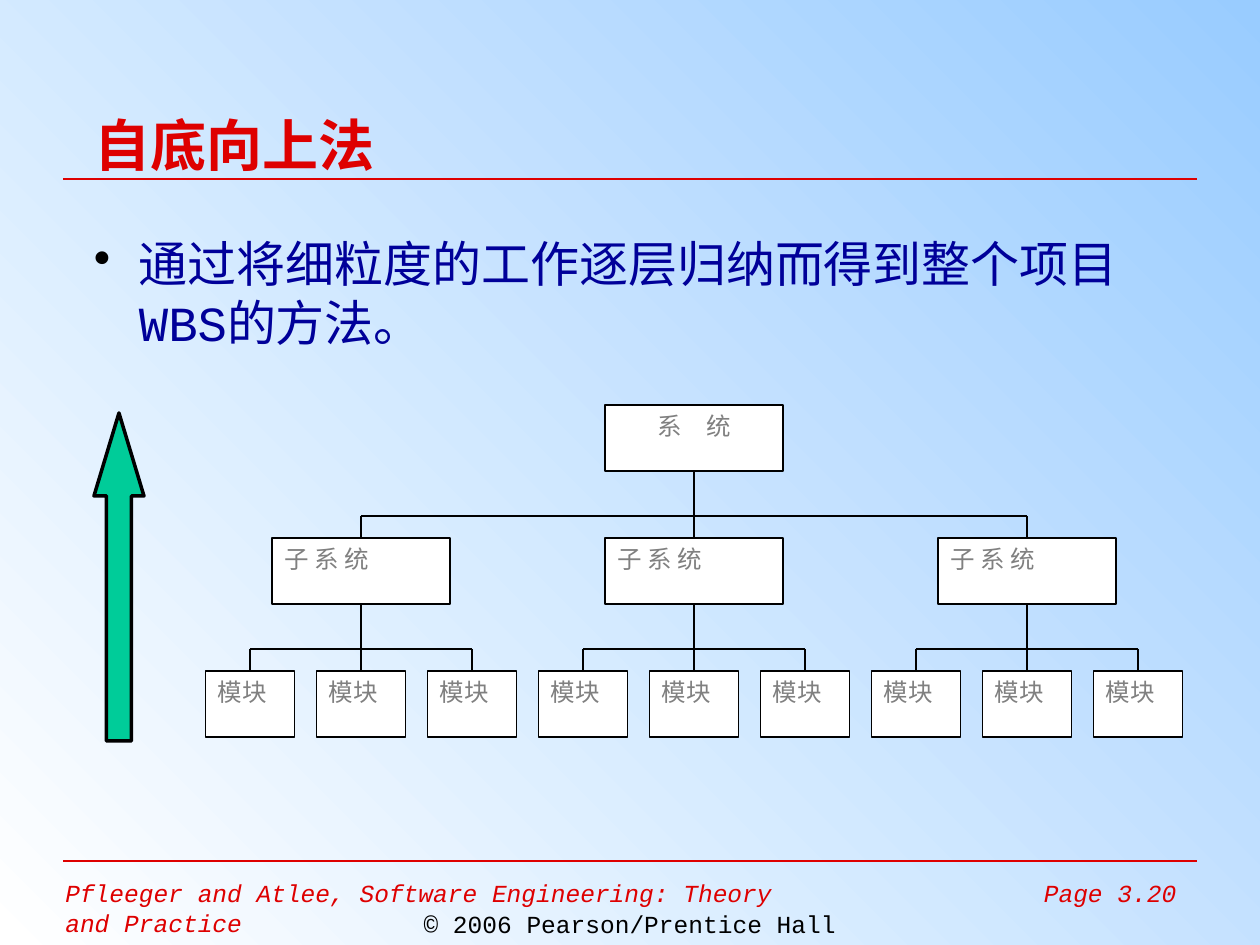
"""Build the slide on the bottom-up method for a work breakdown structure."""
from lxml import etree
from pptx import Presentation
from pptx.dml.color import RGBColor
from pptx.enum.shapes import MSO_CONNECTOR, MSO_SHAPE
from pptx.enum.text import MSO_ANCHOR, MSO_AUTO_SIZE, PP_ALIGN
from pptx.oxml.ns import qn
from pptx.util import Emu, Pt

LEFT, CENTER, RIGHT, JUSTIFY = PP_ALIGN.LEFT, PP_ALIGN.CENTER, PP_ALIGN.RIGHT, PP_ALIGN.JUSTIFY
TOP, MIDDLE = MSO_ANCHOR.TOP, MSO_ANCHOR.MIDDLE
NO_FIT = MSO_AUTO_SIZE.NONE
RECTANGLE, UP_ARROW = MSO_SHAPE.RECTANGLE, MSO_SHAPE.UP_ARROW
STRAIGHT = MSO_CONNECTOR.STRAIGHT

RED = RGBColor(0xDE, 0x00, 0x00)
NAVY = RGBColor(0x00, 0x00, 0x99)
BLACK = RGBColor(0x00, 0x00, 0x00)
WHITE = RGBColor(0xFF, 0xFF, 0xFF)
GRAY = RGBColor(0x80, 0x80, 0x80)
GREEN = RGBColor(0x00, 0xCC, 0x99)
SKY = RGBColor(0x99, 0xCC, 0xFF)

MONO, SERIF = "Courier New", "Times New Roman"
BOX_H, LEVEL_STEP, BUS_OFFSET = 66, 133, 111
ROOT_TOP, FIRST_MODULE, MODULE_STEP = 405, 250, 111
WIDE, NARROW = 178, 89


def px(n):
    return Emu(round(n * 914400 / 126))


def set_font(p, size, name, color, bold=False, italic=False):
    font = p.font
    font.size, font.name, font.bold, font.italic = Pt(size), name, bold, italic
    font.color.rgb = color


def set_frame(tf, anchor=TOP, inset=None):
    tf.word_wrap = True
    tf.auto_size = NO_FIT
    tf.vertical_anchor = anchor
    if inset is not None:
        tf.margin_left = tf.margin_top = tf.margin_right = tf.margin_bottom = px(inset)


def set_background(s):
    fill = s.background.fill
    fill.gradient()
    fill.gradient_angle = 225
    for stop, color in zip(fill.gradient_stops, (SKY, WHITE)):
        stop.color.rgb = color


def add_title(s, text):
    title = s.shapes.title
    title.left, title.top, title.width, title.height = px(94), px(84), px(1071), px(121)
    set_frame(title.text_frame, MIDDLE, 0)
    p = title.text_frame.paragraphs[0]
    p.text, p.alignment = text, LEFT
    set_font(p, 32, MONO, RED, bold=True)


def add_text(s, x, y, w, h, text, size, color, align=LEFT, italic=False, inset=None):
    tf = s.shapes.add_textbox(px(x), px(y), px(w), px(h)).text_frame
    set_frame(tf, inset=inset)
    p = tf.paragraphs[0]
    p.text, p.alignment = text, align
    set_font(p, size, MONO, color, italic=italic)
    return p


def add_bullet(p, indent, color):
    pPr = p._p.get_or_add_pPr()
    pPr.set("marL", str(px(indent)))
    pPr.set("indent", str(-px(indent)))
    bullet_color = etree.Element(qn("a:buClr"))
    etree.SubElement(bullet_color, qn("a:srgbClr"), val=str(color))
    bullet_char = etree.Element(qn("a:buChar"), char="•")
    pPr.insert(0, bullet_color)
    pPr.insert(1, bullet_char)


def add_line(s, x1, y1, x2, y2, color=BLACK, width=0.75):
    line = s.shapes.add_connector(STRAIGHT, px(x1), px(y1), px(x2), px(y2))
    line.line.color.rgb, line.line.width = color, Pt(width)
    etree.SubElement(line._element.spPr, qn("a:effectLst"))


def add_shape(s, kind, x, y, w, h, fill, line_width):
    sp = s.shapes.add_shape(kind, px(x), px(y), px(w), px(h))
    sp.shadow.inherit = False
    sp.fill.solid()
    sp.fill.fore_color.rgb = fill
    sp.line.color.rgb, sp.line.width = BLACK, Pt(line_width)
    return sp


def add_box(s, center, top, width, text, align=JUSTIFY):
    sp = add_shape(s, RECTANGLE, center - width / 2, top, width, BOX_H, WHITE, 0.75)
    set_frame(sp.text_frame)
    p = sp.text_frame.paragraphs[0]
    p.text, p.alignment = text, align
    set_font(p, 14, SERIF, GRAY)


def add_branch(s, parent_top, children):
    left, center, right = children
    bus, child_top = parent_top + BUS_OFFSET, parent_top + LEVEL_STEP
    add_line(s, left, bus, right, bus)
    add_line(s, center, parent_top + BOX_H, center, child_top)
    for x in (left, right):
        add_line(s, x, bus, x, child_top)


def add_tree(s):
    modules = [FIRST_MODULE + MODULE_STEP * i for i in range(9)]
    subsystems = modules[1::3]
    sub_top, module_top = ROOT_TOP + LEVEL_STEP, ROOT_TOP + 2 * LEVEL_STEP
    add_box(s, subsystems[1], ROOT_TOP, WIDE, "系　统", CENTER)
    for x in subsystems:
        add_box(s, x, sub_top, WIDE, "子 系 统")
    for x in modules:
        add_box(s, x, module_top, NARROW, "模块")
    add_branch(s, ROOT_TOP, subsystems)
    for i in range(0, 9, 3):
        add_branch(s, sub_top, modules[i:i + 3])


def add_footer(s):
    add_line(s, 63, 861, 1197, 861, RED)
    add_text(s, 53, 872, 756, 73,
             "Pfleeger and Atlee, Software Engineering: Theory and Practice",
             14, RED, italic=True)
    add_text(s, 987, 872, 202, 42, "Page 3.20", 14, RED, RIGHT, italic=True)
    add_text(s, 0, 903, 1260, 42, "© 2006 Pearson/Prentice Hall", 14, BLACK, CENTER)


def main():
    prs = Presentation()
    prs.slide_width, prs.slide_height = px(1260), px(945)
    s = prs.slides.add_slide(prs.slide_layouts[5])
    set_background(s)
    add_footer(s)
    add_line(s, 63, 179, 1197, 179, RED, 1.5)
    add_title(s, "自底向上法")
    p = add_text(s, 94, 234, 1071, 606,
                 "通过将细粒度的工作逐层归纳而得到整个项目WBS的方法。", 28, NAVY, inset=0)
    add_bullet(p, 45, BLACK)
    add_tree(s)
    arrow = add_shape(s, UP_ARROW, 94, 413, 50, 328, GREEN, 2)
    arrow.adjustments[0], arrow.adjustments[1] = 0.5, 1.66
    prs.save("out.pptx")


if __name__ == "__main__":
    main()
